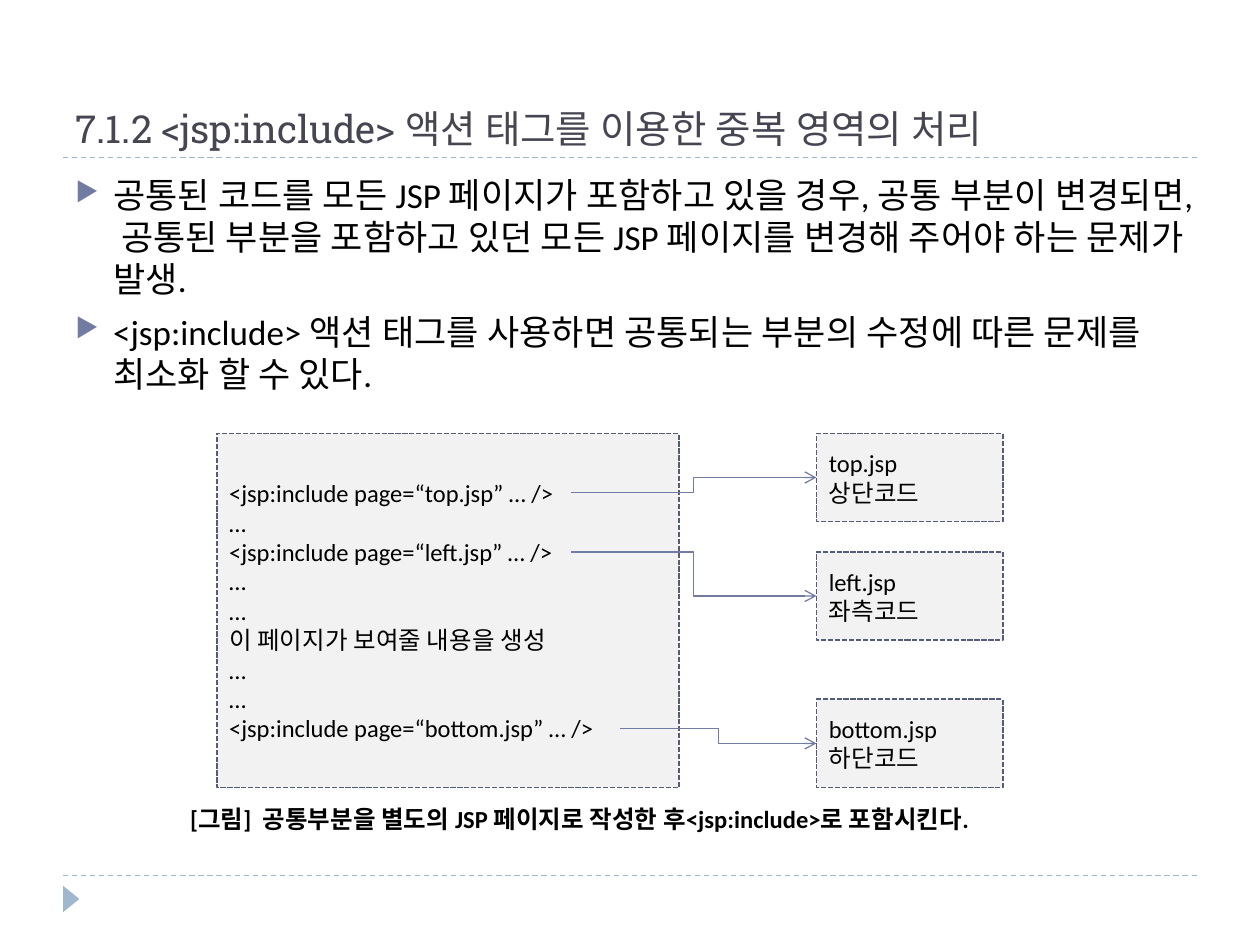
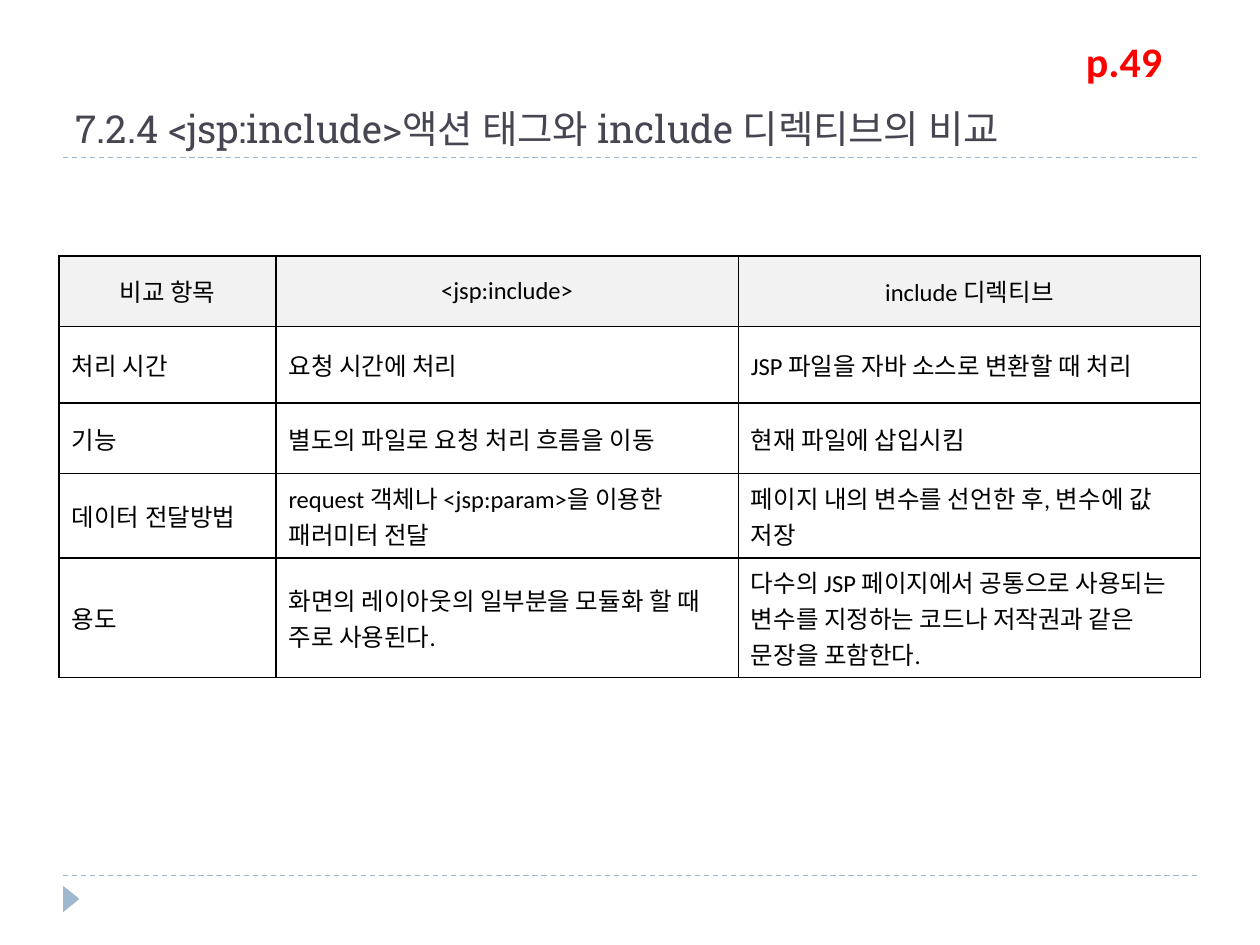
import pptx
import pptx.util
import pptx.dml.color
import pptx.enum.dml
import pptx.enum.shapes
import pptx.enum.text
import pptx.oxml
import pptx.oxml.ns
from dataclasses import dataclass
from lxml import etree

Inches = pptx.util.Inches
Pt = pptx.util.Pt
SHAPE = pptx.enum.shapes.MSO_SHAPE
CONNECTOR = pptx.enum.shapes.MSO_CONNECTOR
DASH = pptx.enum.dml.MSO_LINE
ANCHOR = pptx.enum.text.MSO_ANCHOR
ALIGN = pptx.enum.text.PP_ALIGN
AUTOSIZE = pptx.enum.text.MSO_AUTO_SIZE
qn = pptx.oxml.ns.qn


@dataclass(frozen=True)
class Theme:
    title_font: str = "Roboto Slab"
    text_font: str = "Calibri"
    title: str = "464653"
    text: str = "000000"
    rule: str = "9FB8CD"
    accent: str = "727CA3"
    box_line: str = "545C79"
    panel: str = "F2F2F2"
    page_ref: str = "FF0000"
    title_size: int = 22
    body_size: int = 20
    small_size: int = 14
    ref_size: int = 24


T = Theme()


def rgb(value):
    return pptx.dml.color.RGBColor.from_string(value)


def add_run(p, text, size, color=T.text, font=T.text_font, bold=False, east_asian=True):
    r = p.add_run()
    r.text = text
    r.font.size, r.font.name, r.font.bold = Pt(size), font, bold
    r.font.color.rgb = rgb(color)
    if east_asian:
        etree.SubElement(r._r.get_or_add_rPr(), qn("a:ea"), typeface=font)
    return r


def add_lines(tf, lines, size, **style):
    """One paragraph per line, left aligned."""
    for i, line in enumerate(lines):
        p = tf.paragraphs[0] if i == 0 else tf.add_paragraph()
        p.alignment = ALIGN.LEFT
        add_run(p, line, size, **style)


def add_line(s, kind, start, end, color, dash=None, arrow=False):
    line = s.shapes.add_connector(kind, *(Inches(v) for v in (*start, *end)))
    line.line.color.rgb = rgb(color)
    line.line.width = Pt(0.75)
    if dash:
        line.line.dash_style = dash
    if arrow:
        etree.SubElement(line.line._get_or_add_ln(), qn("a:tailEnd"), type="arrow")
    etree.SubElement(line._element.spPr, qn("a:effectLst"))


def add_text_box(s, box, wrap=True, autosize=AUTOSIZE.NONE):
    tf = s.shapes.add_textbox(*(Inches(v) for v in box)).text_frame
    tf.word_wrap = wrap
    tf.auto_size = autosize
    return tf


def add_frame(s, box, title):
    """Title, the two dashed rules and the corner marker."""
    x, y, w, h = box
    for rule_y in (y + h, 6.95):
        add_line(s, CONNECTOR.STRAIGHT, (x, rule_y), (x + w, rule_y), T.rule, DASH.DASH)
    sp = s.shapes.add_shape(SHAPE.ISOSCELES_TRIANGLE, Inches(x - 0.04), Inches(7.07),
                            Inches(0.21), Inches(0.13))
    sp.rotation = 90
    sp.shadow.inherit = False
    sp.fill.solid()
    sp.fill.fore_color.rgb = rgb(T.rule)
    sp.line.fill.background()

    sp = s.shapes.title
    sp.left, sp.top, sp.width, sp.height = (Inches(v) for v in box)
    tf = sp.text_frame
    tf.auto_size = AUTOSIZE.NONE
    tf.vertical_anchor = ANCHOR.BOTTOM
    add_lines(tf, [title], T.title_size, color=T.title, font=T.title_font)


def add_bullets(s, box, items):
    tf = add_text_box(s, box)
    add_lines(tf, items, T.body_size)
    for p in tf.paragraphs:
        p.space_before = Pt(6)
        pPr = p._p.get_or_add_pPr()
        pPr.set("marL", str(Inches(0.3)))
        pPr.set("indent", str(-Inches(0.3)))
        color = etree.SubElement(pPr, qn("a:buClr"))
        etree.SubElement(color, qn("a:srgbClr"), val=T.accent)
        etree.SubElement(pPr, qn("a:buSzPct"), val="76000")
        etree.SubElement(pPr, qn("a:buChar"), char="▶")


def add_code_box(s, box, lines):
    sp = s.shapes.add_shape(SHAPE.RECTANGLE, *(Inches(v) for v in box))
    sp.shadow.inherit = False
    sp.fill.solid()
    sp.fill.fore_color.rgb = rgb(T.panel)
    sp.line.color.rgb = rgb(T.box_line)
    sp.line.width = Pt(1)
    sp.line.dash_style = DASH.SQUARE_DOT
    tf = sp.text_frame
    tf.word_wrap = True
    tf.vertical_anchor = ANCHOR.MIDDLE
    add_lines(tf, lines, T.small_size)


def add_include_diagram(s, box, page_lines, parts, caption):
    """Main page on the left, included files on the right, caption below."""
    x, y, w, h = box
    add_code_box(s, (x, y, 3.67, h), page_lines)
    part_w, part_h = 1.48, 0.7
    part_x = x + w - part_w
    for name, label, part_dy, start_dx, start_dy in parts:
        part_y = y + part_dy
        add_code_box(s, (part_x, part_y, part_w, part_h), [name, label])
        add_line(s, CONNECTOR.ELBOW, (x + start_dx, y + start_dy),
                 (part_x, part_y + part_h / 2), T.accent, arrow=True)
    tf = add_text_box(s, (x - 0.31, y + h + 0.08, 7.02, 0.34), False,
                      AUTOSIZE.SHAPE_TO_FIT_TEXT)
    add_lines(tf, [caption], T.small_size, bold=True)


def add_cell_borders(cell):
    tcPr = cell._tc.get_or_add_tcPr()
    for side in ("lnL", "lnR", "lnT", "lnB"):
        ln = etree.SubElement(tcPr, qn("a:" + side), w=str(Pt(1)))
        fill = etree.SubElement(ln, qn("a:solidFill"))
        etree.SubElement(fill, qn("a:srgbClr"), val=T.text)


def add_comparison_table(s, box, col_widths, row_heights, rows):
    table = s.shapes.add_table(len(rows), len(col_widths),
                               *(Inches(v) for v in box)).table
    table.first_row = table.horz_banding = False
    for col, width in zip(table.columns, col_widths):
        col.width = Inches(width)
    for row, height in zip(table.rows, row_heights):
        row.height = Inches(height)
    for i, texts in enumerate(rows):
        for j, text in enumerate(texts):
            cell = table.cell(i, j)
            cell.vertical_anchor = ANCHOR.MIDDLE
            add_cell_borders(cell)
            p = cell.text_frame.paragraphs[0]
            add_run(p, text, T.small_size, east_asian=False)
            if i == 0:
                p.alignment = ALIGN.CENTER
                cell.fill.solid()
                cell.fill.fore_color.rgb = rgb(T.panel)
            else:
                cell.fill.background()


def add_page_ref(s, box, text):
    tf = add_text_box(s, box, autosize=AUTOSIZE.SHAPE_TO_FIT_TEXT)
    add_lines(tf, [text], T.ref_size, color=T.page_ref, bold=True)


prs = pptx.Presentation()
prs.slide_width, prs.slide_height = Inches(10), Inches(7.5)
TITLE_ONLY = prs.slide_layouts[5]
TITLE_BOX = (0.5, 0.17, 9, 1.08)

# Slide 1: shared areas through the include action tag
s = prs.slides.add_slide(TITLE_ONLY)
add_frame(s, TITLE_BOX, "7.1.2 <jsp:include> 액션 태그를 이용한 중복 영역의 처리")
add_bullets(s, (0.5, 1.33, 9, 5.4), [
    "공통된 코드를 모든 JSP 페이지가 포함하고 있을 경우, 공통 부분이 변경되면, "
    "공통된 부분을 포함하고 있던 모든 JSP 페이지를 변경해 주어야 하는 문제가 발생.",
    "<jsp:include> 액션 태그를 사용하면 공통되는 부분의 수정에 따른 문제를 최소화 할 수 있다.",
])
add_include_diagram(
    s, (1.72, 3.44, 6.24, 2.81),
    ["<jsp:include page=“top.jsp” … />", "…",
     "<jsp:include page=“left.jsp” … />", "…", "…",
     "이 페이지가 보여줄 내용을 생성", "…", "…",
     "<jsp:include page=“bottom.jsp” … />"],
    # name, label, box offset, arrow start offsets
    [("top.jsp", "상단코드", 0, 2.81, 0.47),
     ("left.jsp", "좌측코드", 0.94, 2.81, 0.94),
     ("bottom.jsp", "하단코드", 2.11, 3.2, 2.34)],
    "[그림]  공통부분을 별도의 JSP 페이지로 작성한 후<jsp:include>로 포함시킨다.")

# Slide 2: action tag and directive compared
s = prs.slides.add_slide(TITLE_ONLY)
add_frame(s, TITLE_BOX, "7.2.4 <jsp:include>액션 태그와 include 디렉티브의 비교")
add_comparison_table(
    s, (0.47, 2.03, 9.06, 3.28), (1.72, 3.67, 3.67), (0.56, 0.61, 0.56, 0.64, 0.91),
    [("비교 항목", "<jsp:include>", "include 디렉티브"),
     ("처리 시간", "요청 시간에 처리", "JSP 파일을 자바 소스로 변환할 때 처리"),
     ("기능", "별도의 파일로 요청 처리 흐름을 이동", "현재 파일에 삽입시킴"),
     ("데이터 전달방법", "request 객체나 <jsp:param>을 이용한 패러미터 전달",
      "페이지 내의 변수를 선언한 후, 변수에 값 저장"),
     ("용도", "화면의 레이아웃의 일부분을 모듈화 할 때 주로 사용된다.",
      "다수의 JSP 페이지에서 공통으로 사용되는 변수를 지정하는 코드나 "
      "저작권과 같은 문장을 포함한다.")])
add_page_ref(s, (8.52, 0.23, 1.02, 0.5), "p.49")

prs.save("out.pptx")
